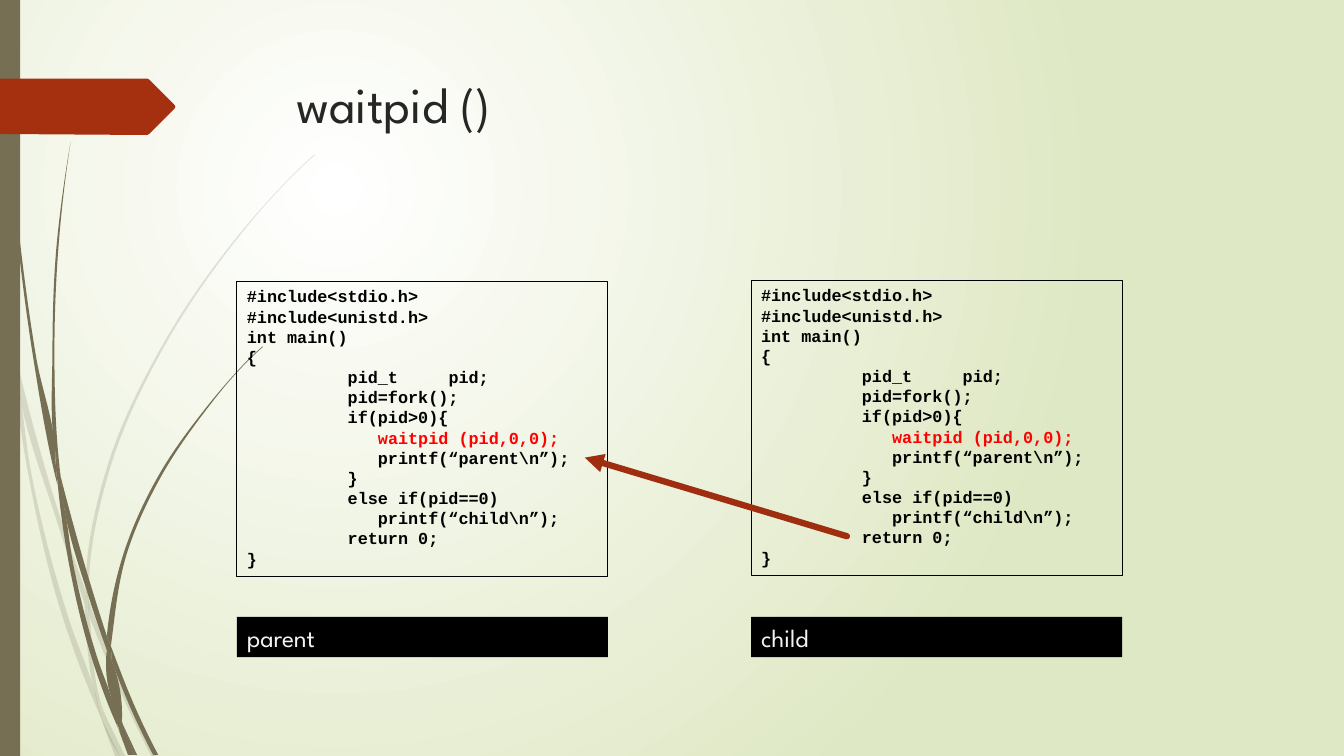
import math

import pptx
import pptx.dml.color
import pptx.enum.shapes
import pptx.enum.text
import pptx.oxml
import pptx.oxml.ns
import pptx.util

Inches = pptx.util.Inches
qn = pptx.oxml.ns.qn
NAMESPACE = pptx.oxml.ns.nsdecls("a")
COLORS = {
    "olive": "766F54", "rust": "A53010", "arrow": "9E2E0F", "title": "262626",
    "black": "000000", "red": "FF0000", "label": "F2F2F2",
    "center": "FFFFFF", "edge": "DFE8C4",
}
TITLE_FONT, CODE_FONT = "League Spartan", "Courier New"
CALL = "waitpid (pid,0,0);"
CODE = """#include<stdio.h>
#include<unistd.h>
int main()
{
\tpid_t\tpid;
\tpid=fork();
\tif(pid>0){
\t   waitpid (pid,0,0);
\t   printf(“parent\\n”);
\t}
\telse if(pid==0)
\t   printf(“child\\n”);
\treturn 0;
}"""

PALE_BLADES = [
    ([(0.11, 3.5), (0.09, 3.22), (0, 2.82)], [(0, 2.99), (0.1, 3.44), (0.11, 3.5)]),
    ([(0.14, 3.45), (0.17, 3.76), (0.58, 5.22), (0.84, 5.99)],
     [(0.85, 5.86), (0.62, 5.2), (0.14, 3.45)]),
    ([(0.88, 5.96), (0.92, 6.07), (1.27, 6.92), (1.55, 7.5)],
     [(1.5, 7.5), (1.23, 6.94), (0.88, 6.1)]),
    ([(1.05, 7.11), (1.24, 7.5)], [(1.19, 7.5), (1.05, 7.11)]),
    ([(0.11, 3.5), (0.17, 3.76), (0.31, 4.69), (0.7, 6.19), (0.93, 6.83), (1.01, 7.14)],
     [(0.92, 6.93), (0.65, 6.21), (0.28, 4.7), (0.11, 3.5)]),
    ([(0.84, 5.99), (0.88, 6.1), (0.91, 6.46), (1.03, 7.06), (1.05, 7.11)],
     [(0.96, 6.92), (0.93, 6.83), (0.87, 6.46), (0.84, 5.99)]),
    ([(0.88, 5.96), (0.88, 5.84), (1.1, 4.62), (1.6, 3.49), (2.29, 2.45), (2.68, 1.98),
      (2.9, 1.75), (3.12, 1.54)],
     [(3.12, 1.53), (2.89, 1.75), (2.68, 1.97), (2.28, 2.44), (1.58, 3.48), (1.07, 4.61),
      (0.85, 5.84), (0.85, 5.86)]),
    ([(1.01, 7.14), (1.14, 7.5)], [(1.19, 7.5), (1.01, 7.14)]),
    ([(0.88, 6.1), (0.88, 5.96), (0.85, 5.86)], [(0.84, 5.99), (0.88, 6.08)]),
    ([(0.93, 6.83), (0.99, 7.07), (1.01, 7.14), (1.19, 7.5)],
     [(1.05, 7.11), (0.96, 6.92), (0.93, 6.83)]),
]
DARK_BLADES = [
    ([(0.03, 0), (0.04, 0.48), (0.07, 1.1), (0.17, 2.33), (0.33, 3.55), (0.56, 4.77),
      (0.57, 4.81)],
     [(0.55, 4.57), (0.55, 4.53), (0.36, 3.55), (0.19, 2.32), (0.08, 1.09), (0.05, 0.48),
      (0.04, 0)]),
    ([(0.6, 4.72), (0.64, 5.05), (0.88, 5.92), (1.06, 6.45)],
     [(1.06, 6.31), (0.93, 5.9), (0.6, 4.72)]),
    ([(1.1, 6.41), (1.13, 6.49), (1.36, 7.06), (1.57, 7.49)],
     [(1.52, 7.49), (1.32, 7.08), (1.11, 6.56)]),
    ([(0.57, 4.77), (0.64, 5.05), (0.72, 5.56), (0.98, 6.57), (1.1, 6.91), (1.17, 7.22)],
     [(1.11, 7.08), (0.93, 6.59), (0.68, 5.57), (0.57, 4.77)]),
    ([(0.6, 4.72), (0.58, 4.53), (0.54, 3.49), (0.58, 2.45), (0.63, 1.93), (0.7, 1.41)],
     [(0.7, 1.41), (0.62, 1.93), (0.56, 2.45), (0.52, 3.49), (0.55, 4.49), (0.6, 4.72)]),
    ([(1.22, 7.19), (1.36, 7.49)], [(1.33, 7.49), (1.22, 7.19)]),
    ([(0.55, 4.49), (0.55, 4.53), (0.57, 4.77), (0.64, 5.05)], [(0.6, 4.72), (0.55, 4.49)]),
    ([(1.1, 6.41), (1.11, 6.33), (1.25, 5.52), (1.58, 4.76), (2.05, 4.06), (2.31, 3.74),
      (2.45, 3.59), (2.61, 3.44)],
     [(2.6, 3.44), (2.45, 3.58), (2.31, 3.73), (2.04, 4.05), (1.56, 4.74), (1.22, 5.51),
      (1.06, 6.31)]),
    ([(1.17, 7.22), (1.27, 7.49)], [(1.31, 7.49), (1.17, 7.22)]),
    ([(1.06, 6.45), (1.1, 6.91), (1.16, 7.06), (1.22, 7.19)],
     [(1.21, 7.16), (1.11, 6.56), (1.06, 6.45)]),
    ([(1.06, 6.45), (1.11, 6.56)], [(1.1, 6.41), (1.06, 6.31)]),
    ([(1.1, 6.91), (1.16, 7.17), (1.3, 7.49)], [(1.33, 7.49), (1.22, 7.19), (1.1, 6.91)]),
]
TAG = [(0, 0.78), (1.46, 0.78), (1.48, 0.79), (1.73, 1.04), (1.74, 1.06), (1.73, 1.08),
       (1.48, 1.33), (1.46, 1.34), (0, 1.33)]


def rgb(name):
    return pptx.dml.color.RGBColor.from_string(COLORS[name])


def curve_handles(points):
    """Return the two handles of each segment of a smooth curve through the points."""
    pairs = list(zip(points, points[1:]))
    gaps = [math.dist(*pair) for pair in pairs]
    slopes = [[(b - a) / gap for a, b in zip(*pair)] for pair, gap in zip(pairs, gaps)]
    inner = [[(a * h + b * g) / (g + h) for a, b in zip(s, t)]
             for s, t, g, h in zip(slopes, slopes[1:], gaps, gaps[1:])]
    first, last = ([2 * a - b for a, b in zip(slopes[i], inner[i] if inner else slopes[i])]
                   for i in (0, -1))
    tangents = [first, *inner, last]
    return [([a + t * gap / 3 for a, t in zip(start, tangents[i])],
             [b - t * gap / 3 for b, t in zip(end, tangents[i + 1])])
            for i, ((start, end), gap) in enumerate(zip(pairs, gaps))]


def add_text(para, text, *, font, size, color, bold=False):
    span = para.add_run()
    span.text = text
    span.font.name, span.font.size, span.font.bold = font, pptx.util.Pt(size), bold
    span.font.color.rgb = rgb(color)


class Slide:
    """Holds the style and the current slide."""

    def __init__(self, deck):
        self.page = deck.slides.add_slide(deck.slide_layouts[5])

    def background(self):
        fill = self.page.background.fill
        fill.gradient()
        for stop, position, name in zip(fill.gradient_stops, (0, 1), ("center", "edge")):
            stop.position, stop.color.rgb = position, rgb(name)
        linear = self.page._element.find(".//" + qn("a:lin"))
        linear.getparent().replace(linear, pptx.oxml.parse_xml(
            f'<a:path {NAMESPACE} path="circle"><a:fillToRect '
            'l="50000" t="50000" r="100000" b="100000"/></a:path>'))

    def title(self, text):
        box = self.page.shapes.title
        box.left, box.top, box.width, box.height = map(Inches, (2.84, 0.68, 9.75, 1.4))
        box.text_frame.vertical_anchor = pptx.enum.text.MSO_ANCHOR.TOP
        para = box.text_frame.paragraphs[0]
        para.alignment = pptx.enum.text.PP_ALIGN.LEFT
        add_text(para, text, font=TITLE_FONT, size=36, color="title")

    def outline(self, shapes, points, color):
        start, *rest = [(Inches(x), Inches(y)) for x, y in points]
        builder = shapes.build_freeform(*start, scale=1.0)
        builder.add_line_segments(rest, close=True)
        shape = builder.convert_to_shape()
        self.paint(shape, color)
        return shape

    def blades(self, blades, alpha=100):
        group = self.page.shapes.add_group_shape()
        for there, back in blades:
            shape = self.outline(group.shapes, there + back, "olive")
            properties = shape._element.spPr
            handles = curve_handles(there) + [()] + curve_handles(back)
            for segment, pair in zip(list(properties.iter(qn("a:lnTo"))), handles):
                for i, (x, y) in enumerate(pair):
                    segment.insert(i, pptx.oxml.parse_xml(
                        f'<a:pt {NAMESPACE} x="{Inches(x) - shape.left}" '
                        f'y="{Inches(y) - shape.top}"/>'))
                segment.tag = qn("a:cubicBezTo" if pair else "a:lnTo")
            properties.find(".//" + qn("a:srgbClr")).append(
                pptx.oxml.parse_xml(f'<a:alpha {NAMESPACE} val="{alpha * 1000}"/>'))

    def paint(self, shape, fill=None, line=None):
        shape.shadow.inherit = False
        for part, color in ((shape.fill, fill), (shape.line.fill, line)):
            if color:
                part.solid()
                part.fore_color.rgb = rgb(color)
            else:
                part.background()

    def box(self, left, top, width, height, fill=None, line=None, text="", marked=None, **style):
        shape = self.page.shapes.add_shape(pptx.enum.shapes.MSO_SHAPE.RECTANGLE,
                                           *map(Inches, (left, top, width, height)))
        self.paint(shape, fill, line)
        shape.line.width = pptx.util.Pt(0.75 if line else 0)
        frame = shape.text_frame
        frame.word_wrap, frame.vertical_anchor = True, pptx.enum.text.MSO_ANCHOR.TOP
        for i, row in enumerate(text.splitlines()):
            para = frame.add_paragraph() if i else frame.paragraphs[0]
            para.alignment = pptx.enum.text.PP_ALIGN.LEFT
            stops = "".join(f'<a:tab pos="{Inches(n)}" algn="l"/>' for n in (1, 2))
            if "\t" in row:
                para._p.get_or_add_pPr().append(
                    pptx.oxml.parse_xml(f"<a:tabLst {NAMESPACE}>{stops}</a:tabLst>"))
            before, call, _ = row.partition(marked or row)
            if marked and before:
                add_text(para, before, **style)
            if call:
                add_text(para, call, **{**style, "color": "red" if marked else style["color"]})

    def arrow(self, start, end):
        line = self.page.shapes.add_connector(pptx.enum.shapes.MSO_CONNECTOR.STRAIGHT,
                                              *map(Inches, start + end))
        line.line.color.rgb, line.line.width = rgb("arrow"), pptx.util.Pt(4.5)
        stroke = line._element.spPr.find(qn("a:ln"))
        stroke.set("cap", "rnd")
        for tag in ("a:round", 'a:tailEnd type="triangle"'):
            stroke.append(pptx.oxml.parse_xml(f"<{tag} {NAMESPACE}/>"))
        line._element.spPr.append(pptx.oxml.parse_xml(f"<a:effectLst {NAMESPACE}/>"))


deck = pptx.Presentation()
deck.slide_width, deck.slide_height = Inches(13.33), Inches(7.5)
slide = Slide(deck)
slide.background()
slide.blades(PALE_BLADES, alpha=20)
slide.blades(DARK_BLADES)
slide.box(0, 0, 0.2, 7.5, fill="olive")
slide.outline(slide.page.shapes, TAG, "rust")
slide.title("waitpid ()")
columns = (("parent", 2.35, 2.79), ("child", 7.45, 2.78))
for name, left, top in columns:
    slide.box(left, top, 3.68, 2.93, line="black", text=CODE, marked=CALL,
              font=CODE_FONT, size=12, color="black", bold=True)
slide.arrow((8.4, 5.32), (5.8, 4.54))
for name, left, top in columns:
    slide.box(left, 6.12, 3.68, 0.4, fill="black", text=name,
              font=TITLE_FONT, size=18, color="label")
deck.save("out.pptx")
